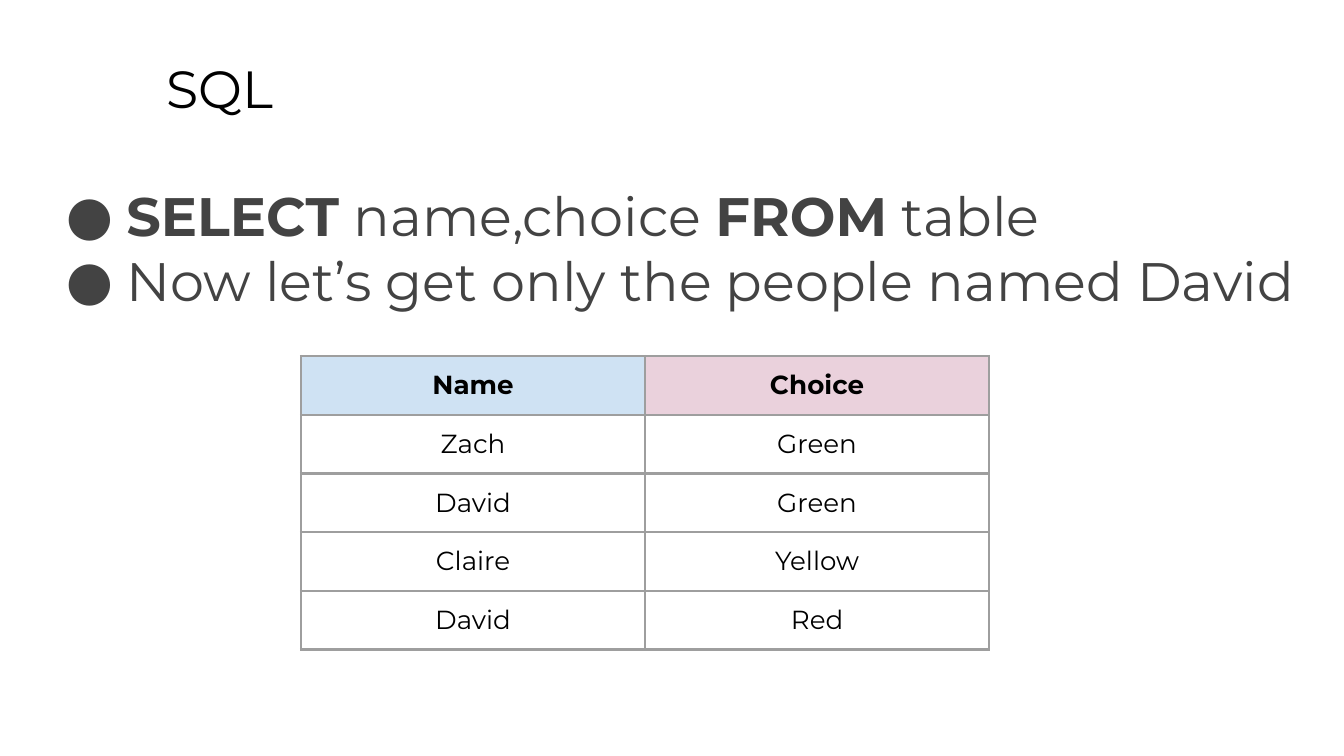
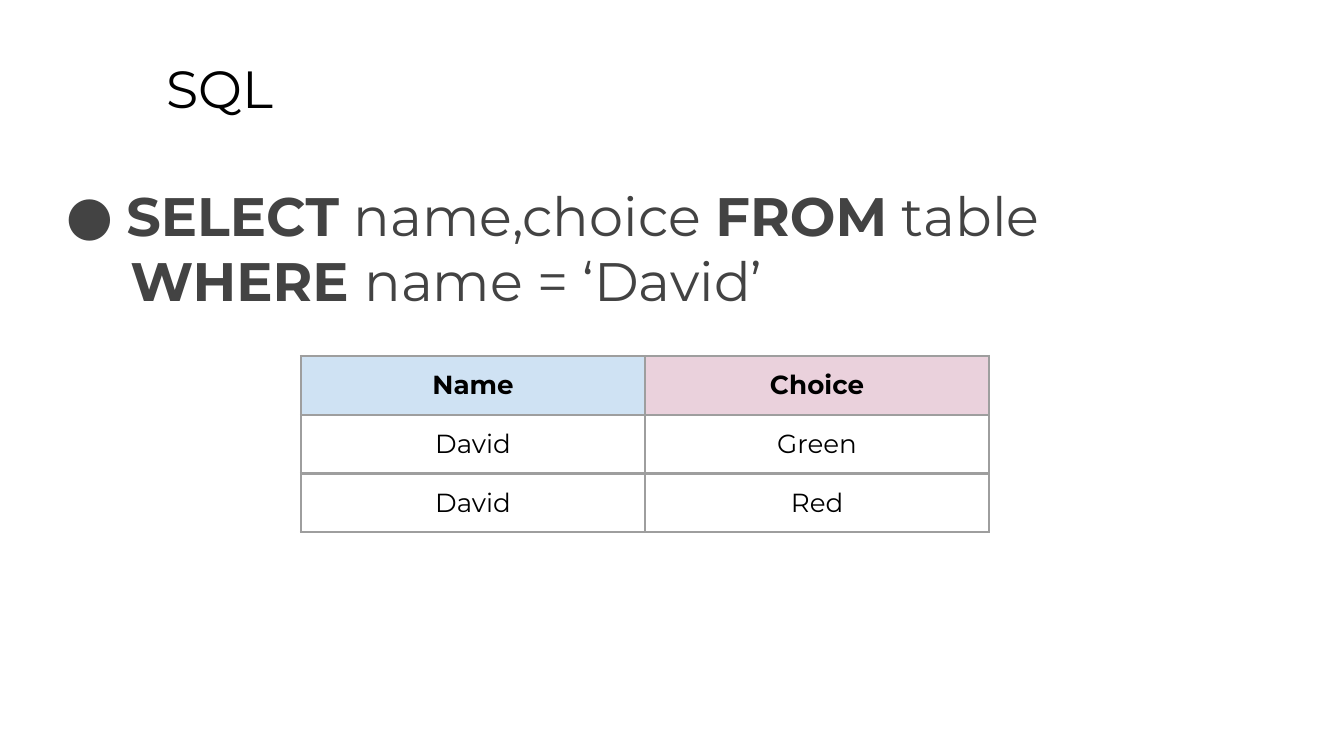
from lxml.etree import SubElement
from pptx import Presentation
from pptx.dml.color import RGBColor
from pptx.enum.text import MSO_ANCHOR, MSO_AUTO_SIZE, PP_ALIGN
from pptx.oxml.ns import qn
from pptx.util import Inches, Pt

FONT = "Montserrat"
COLORS = {
    "title": "000000",
    "query": "434343",
    "cell": "000000",
    "border": "9E9E9E",
    "name": "CFE2F3",
    "choice": "EAD1DC",
}
PADDING = Inches(0.1)
BORDER_WIDTH = Pt(1.5)
HEADER = ("Name", "Choice")
SELECT_LINE = ("SELECT", " name,choice ", "FROM", " table")

RESULTS = [
    {
        "bullets": [SELECT_LINE, ("Now let’s get only the people named David",)],
        "continuation": [],
        "rows": [("Zach", "Green"), ("David", "Green"), ("Claire", "Yellow"), ("David", "Red")],
    },
    {
        "bullets": [SELECT_LINE],
        "continuation": [("WHERE ", "name = ‘David’")],
        "rows": [("David", "Green"), ("David", "Red")],
    },
]

deck = Presentation()
deck.slide_width = Inches(10)
deck.slide_height = Inches(5.625)
COL = deck.slide_width / 100
ROW = deck.slide_height / 100


def place(holder, left, top, width, height):
    holder.left, holder.top = round(left * COL), round(top * ROW)
    holder.width, holder.height = round(width * COL), round(height * ROW)
    frame = holder.text_frame
    frame.margin_left = frame.margin_right = PADDING
    frame.margin_top = frame.margin_bottom = PADDING
    frame.vertical_anchor = MSO_ANCHOR.TOP
    frame.word_wrap = True
    frame.auto_size = MSO_AUTO_SIZE.NONE
    return frame


def style(run, size, color, bold=False):
    run.font.name = FONT
    run.font.size = Pt(size)
    run.font.bold = bold
    run.font.color.rgb = RGBColor.from_string(COLORS[color])


for result in RESULTS:
    slide = deck.slides.add_slide(deck.slide_layouts[1])

    heading = place(slide.shapes.title, 11.4, 5.7, 85.2, 11.2)
    heading.text = "SQL"
    heading.paragraphs[0].alignment = PP_ALIGN.LEFT
    style(heading.paragraphs[0].runs[0], 28, "title")

    query = place(slide.placeholders[1], 3.4, 22.4, 95, 66.5)
    bullets = result["bullets"]
    for index, segments in enumerate(bullets + result["continuation"]):
        line = query.paragraphs[0] if index == 0 else query.add_paragraph()
        line.alignment = PP_ALIGN.LEFT
        line.space_before = Pt(0)
        for segment in segments:
            run = line.add_run()
            run.text = segment
            style(run, 29, "query", bold=segment.isupper())
        props = line._p.get_or_add_pPr()
        if index < len(bullets):
            props.set("marL", str(Inches(0.5)))
            props.set("indent", str(Inches(-0.45)))
            SubElement(SubElement(props, qn("a:buClr")), qn("a:srgbClr"), val=COLORS["query"])
            SubElement(props, qn("a:buFont"), typeface=FONT)
            SubElement(props, qn("a:buChar"), char="●")
        else:
            props.set("marL", str(Inches(0.53)))
            props.set("indent", "0")
            SubElement(props, qn("a:buNone"))

    records = [HEADER] + result["rows"]
    column_width, row_height = round(25.6 * COL), round(7.47 * ROW)
    table = slide.shapes.add_table(
        len(records), len(HEADER), round(22.4 * COL), round(47.1 * ROW),
        column_width * len(HEADER), row_height * len(records),
    ).table
    table.first_row = table.horz_banding = False
    for column in table.columns:
        column.width = column_width
    for row_index, record in enumerate(records):
        table.rows[row_index].height = row_height
        for column_index, value in enumerate(record):
            cell = table.cell(row_index, column_index)
            cell.text = value
            cell.margin_left = cell.margin_right = PADDING
            cell.margin_top = cell.margin_bottom = PADDING
            entry = cell.text_frame.paragraphs[0]
            entry.alignment = PP_ALIGN.CENTER
            style(entry.runs[0], 14, "cell", bold=row_index == 0)
            for side in ("lnL", "lnR", "lnT", "lnB"):
                edge = SubElement(cell._tc.get_or_add_tcPr(), qn(f"a:{side}"), w=str(BORDER_WIDTH))
                SubElement(SubElement(edge, qn("a:solidFill")), qn("a:srgbClr"), val=COLORS["border"])
            if row_index == 0:
                cell.fill.solid()
                cell.fill.fore_color.rgb = RGBColor.from_string(COLORS[value.lower()])
            else:
                cell.fill.background()

deck.save("out.pptx")
